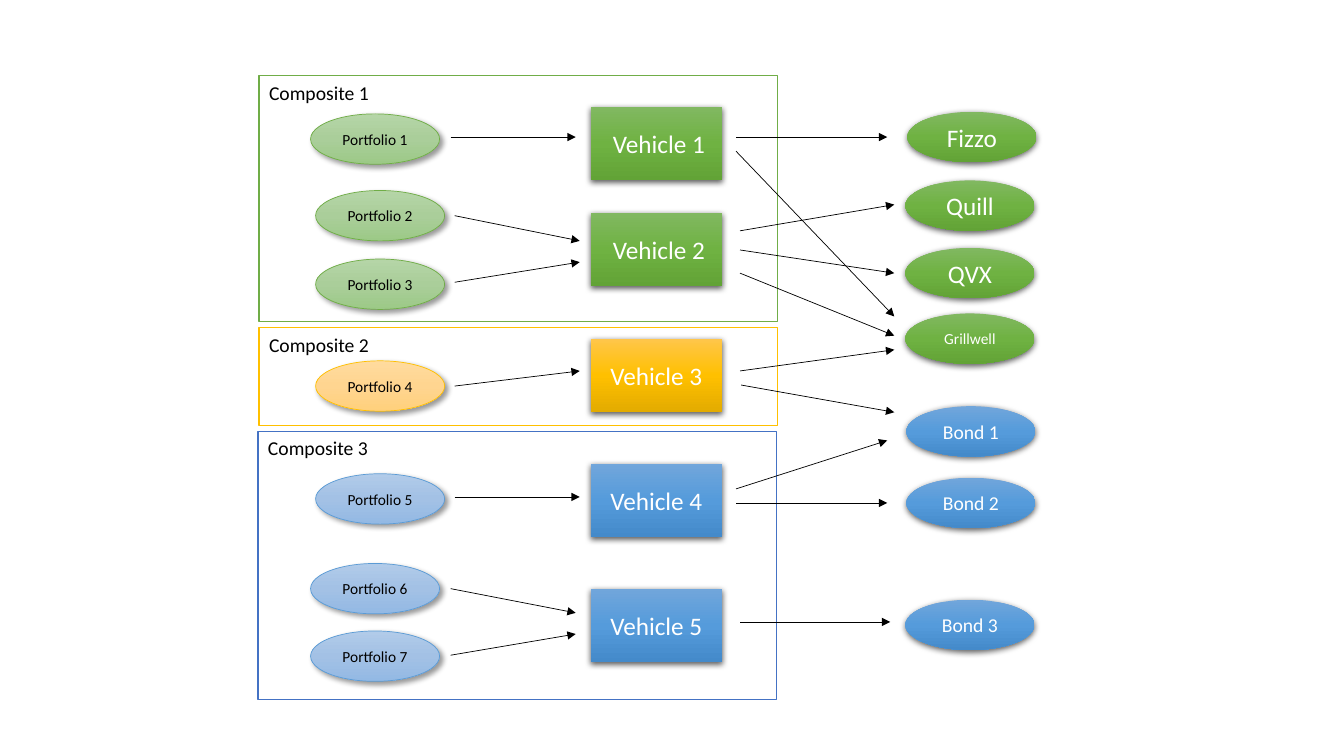
from copy import deepcopy
from dataclasses import dataclass

from pptx import Presentation
from pptx.dml.color import RGBColor as RGB
from pptx.enum.shapes import MSO_CONNECTOR as Link, MSO_SHAPE as Form
from pptx.enum.text import MSO_ANCHOR as Anchor, PP_ALIGN as Align
from pptx.oxml import parse_xml
from pptx.oxml.ns import nsdecls, qn
from pptx.util import Inches, Pt


@dataclass(frozen=True)
class Theme:
    font: str = "Calibri"
    ink: str = "000000"
    paper: str = "FFFFFF"
    large: int = 18
    medium: int = 14
    small: int = 11
    thin: float = 0.5
    frame: float = 1
    # Gradient stops from top to bottom
    green: tuple = ("81B861", "6FB242", "62A336")
    gold: tuple = ("FFC64B", "FFC000", "E3AB00")
    blue: tuple = ("71A6DB", "559BDB", "448ACA")
    pale_green: tuple = ("B5D5A7", "AACE9A", "9CC987")
    pale_gold: tuple = ("FFDB9E", "FFD590", "FFD07C")
    pale_blue: tuple = ("B1CBE9", "A3C1E5", "93B9E4")
    # Outlines
    green_edge: str = "70AD47"
    gold_edge: str = "FFC000"
    blue_edge: str = "5B9BD5"
    blue_frame: str = "4472C4"
    # Shadows: opacity %, blur pt, distance pt, angle
    deep_shadow: tuple = (63, 4.5, 1.5, 90)
    soft_shadow: tuple = (40, 4, 3, 45)


class Diagram:
    def __init__(self, slide, theme):
        self.slide = slide
        self.theme = theme

    def _shape(self, form, left, top, width, height, edge, edge_width):
        shape = self.slide.shapes.add_shape(
            form, Inches(left), Inches(top), Inches(width), Inches(height))
        shape.shadow.inherit = False
        if edge:
            shape.line.color.rgb = RGB.from_string(edge)
            shape.line.width = Pt(edge_width)
        else:
            shape.line.fill.background()
        return shape

    def _write(self, shape, text, size, color, align, anchor):
        frame = shape.text_frame
        frame.word_wrap = True
        frame.vertical_anchor = anchor
        paragraph = frame.paragraphs[0]
        paragraph.alignment = align
        run = paragraph.add_run()
        run.text = text
        run.font.name = self.theme.font
        run.font.size = Pt(size)
        run.font.color.rgb = RGB.from_string(color)

    def _shade(self, shape, colors):
        shape.fill.gradient()
        shape.fill.gradient_angle = 270
        stop_list = shape._element.spPr.find(qn("a:gradFill")).find(qn("a:gsLst"))
        stop_list.insert(1, deepcopy(stop_list[0]))
        for stop, color, position in zip(shape.fill.gradient_stops, colors, (0, 0.5, 1)):
            stop.color.rgb = RGB.from_string(color)
            stop.position = position

    def _cast_shadow(self, shape, opacity, blur, distance, angle):
        shape._element.spPr.find(qn("a:effectLst")).append(parse_xml(
            f'<a:outerShdw {nsdecls("a")} blurRad="{Pt(blur)}" dist="{Pt(distance)}" '
            f'dir="{angle * 60000}" algn="ctr" rotWithShape="0">'
            f'<a:srgbClr val="{self.theme.ink}"><a:alpha val="{opacity * 1000}"/>'
            '</a:srgbClr></a:outerShdw>'))

    def composite(self, text, left, top, height, edge):
        theme = self.theme
        box = self._shape(Form.RECTANGLE, left, top, 5.14, height, edge, theme.frame)
        box.fill.solid()
        box.fill.fore_color.rgb = RGB.from_string(theme.paper)
        self._write(box, text, theme.medium, theme.ink, Align.LEFT, Anchor.TOP)

    def _node(self, form, text, place, extent, colors, size, color, shadow, edge=None):
        node = self._shape(form, *place, *extent, edge, self.theme.thin)
        self._shade(node, colors)
        self._cast_shadow(node, *shadow)
        self._write(node, text, size, color, Align.CENTER, Anchor.MIDDLE)
        return node

    def portfolio(self, text, left, top, colors, edge):
        theme = self.theme
        self._node(Form.OVAL, text, (left, top), (1.28, 0.5), colors,
                   theme.small, theme.ink, theme.soft_shadow, edge)

    def vehicle(self, text, top, colors, inset):
        theme = self.theme
        node = self._node(Form.RECTANGLE, text, (5.86, top), (1.3, 0.73), colors,
                          theme.large, theme.paper, theme.deep_shadow)
        node.text_frame.margin_left = Inches(inset)

    def holding(self, text, left, top, colors, size):
        theme = self.theme
        self._node(Form.OVAL, text, (left, top), (1.28, 0.5), colors,
                   size, theme.paper, theme.deep_shadow)

    def arrow(self, *ends):
        line = self.slide.shapes.add_connector(Link.STRAIGHT, *map(Inches, ends))
        line.line.color.rgb = RGB.from_string(self.theme.ink)
        line.line.width = Pt(self.theme.thin)
        properties = line._element.spPr
        properties.find(qn("a:ln")).append(
            parse_xml(f'<a:tailEnd {nsdecls("a")} type="triangle"/>'))
        properties.append(parse_xml(f'<a:effectLst {nsdecls("a")}/>'))


def main():
    deck = Presentation()
    deck.slide_width, deck.slide_height = Inches(13.33), Inches(7.5)
    theme = Theme()
    diagram = Diagram(deck.slides.add_slide(deck.slide_layouts[6]), theme)

    # Composite frames
    for number, (left, top, height, edge) in enumerate([
        (2.57, 0.75, 2.44, theme.green_edge),
        (2.57, 3.25, 0.97, theme.gold_edge),
        (2.56, 4.28, 2.66, theme.blue_frame),
    ], 1):
        diagram.composite(f"Composite {number}", left, top, height, edge)

    # Portfolios
    green = (theme.pale_green, theme.green_edge)
    gold = (theme.pale_gold, theme.gold_edge)
    blue = (theme.pale_blue, theme.blue_edge)
    for number, (left, top, style) in enumerate([
        (3.08, 1.13, green), (3.13, 1.89, green), (3.13, 2.57, green),
        (3.13, 3.58, gold),
        (3.13, 4.7, blue), (3.08, 5.59, blue), (3.08, 6.26, blue),
    ], 1):
        diagram.portfolio(f"Portfolio {number}", left, top, *style)

    # Vehicles
    for number, (top, colors, inset) in enumerate([
        (1.06, theme.green, 0.15), (2.11, theme.green, 0.15),
        (3.36, theme.gold, 0.1),
        (4.6, theme.blue, 0.1), (5.84, theme.blue, 0.1),
    ], 1):
        diagram.vehicle(f"Vehicle {number}", top, colors, inset)

    # Company shares and bonds
    for name, left, top, colors, size in [
        ("Fizzo", 9, 1.11, theme.green, theme.large),
        ("Quill", 8.98, 1.79, theme.green, theme.large),
        ("QVX", 8.98, 2.46, theme.green, theme.large),
        ("Grillwell", 8.98, 3.11, theme.green, theme.small),
        ("Bond 1", 8.99, 4.03, theme.blue, theme.medium),
        ("Bond 2", 8.99, 4.74, theme.blue, theme.medium),
        ("Bond 3", 8.98, 5.95, theme.blue, theme.medium),
    ]:
        diagram.holding(name, left, top, colors, size)

    # Arrows from portfolios to vehicles
    for left, start, end in [
        (4.47, 1.36, 1.36), (4.51, 2.14, 2.39), (4.51, 2.8, 2.6),
        (4.51, 3.83, 3.68), (4.51, 4.93, 4.93),
        (4.47, 5.84, 6.08), (4.47, 6.5, 6.29),
    ]:
        diagram.arrow(left, start, left + 1.24, end)

    # Arrows from vehicles to shares and bonds
    for ends in [
        (7.3, 1.36, 8.8, 1.36), (7.3, 1.5, 8.87, 3.14),
        (7.34, 2.29, 8.87, 2.03), (7.34, 2.48, 8.87, 2.71), (7.34, 2.71, 8.87, 3.33),
        (7.34, 3.68, 8.87, 3.47), (7.35, 3.82, 8.87, 4.09),
        (7.3, 4.85, 8.8, 4.37), (7.3, 4.99, 8.8, 4.99),
        (7.34, 6.17, 8.83, 6.17),
    ]:
        diagram.arrow(*ends)

    deck.save("out.pptx")


if __name__ == "__main__":
    main()
